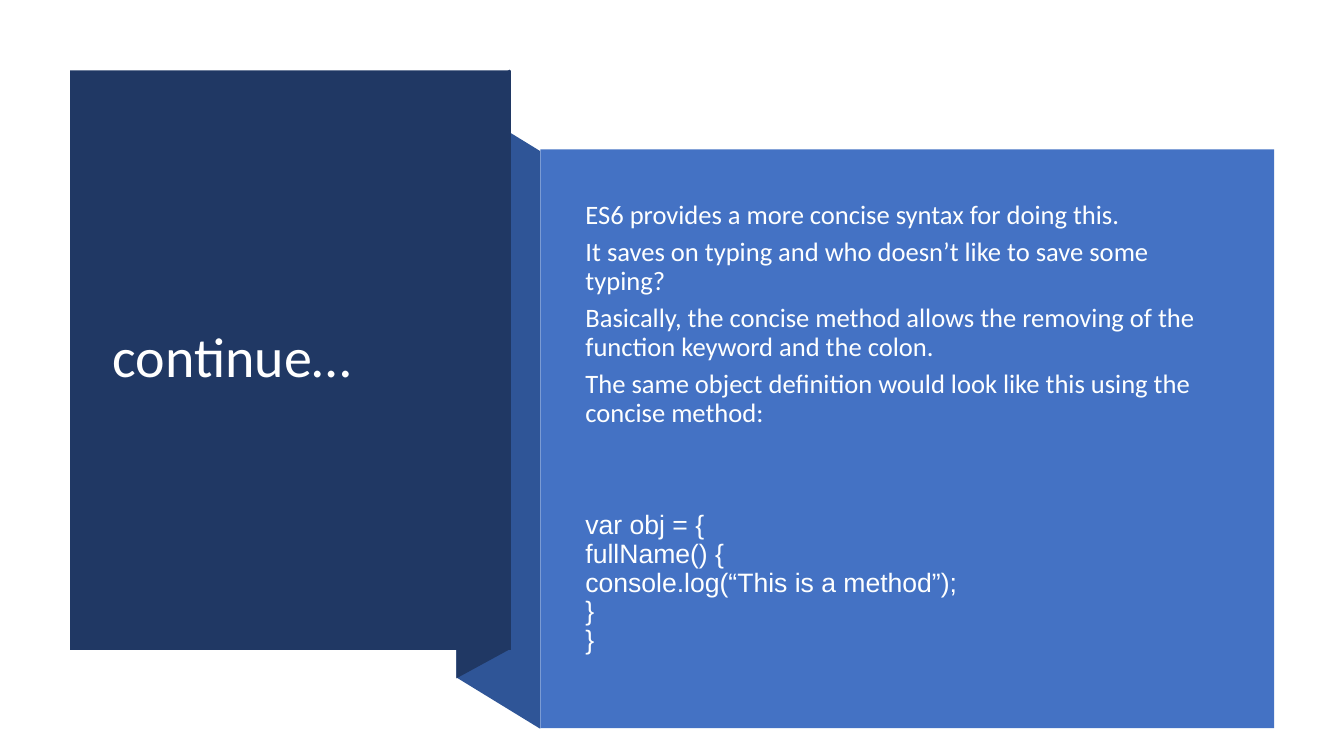
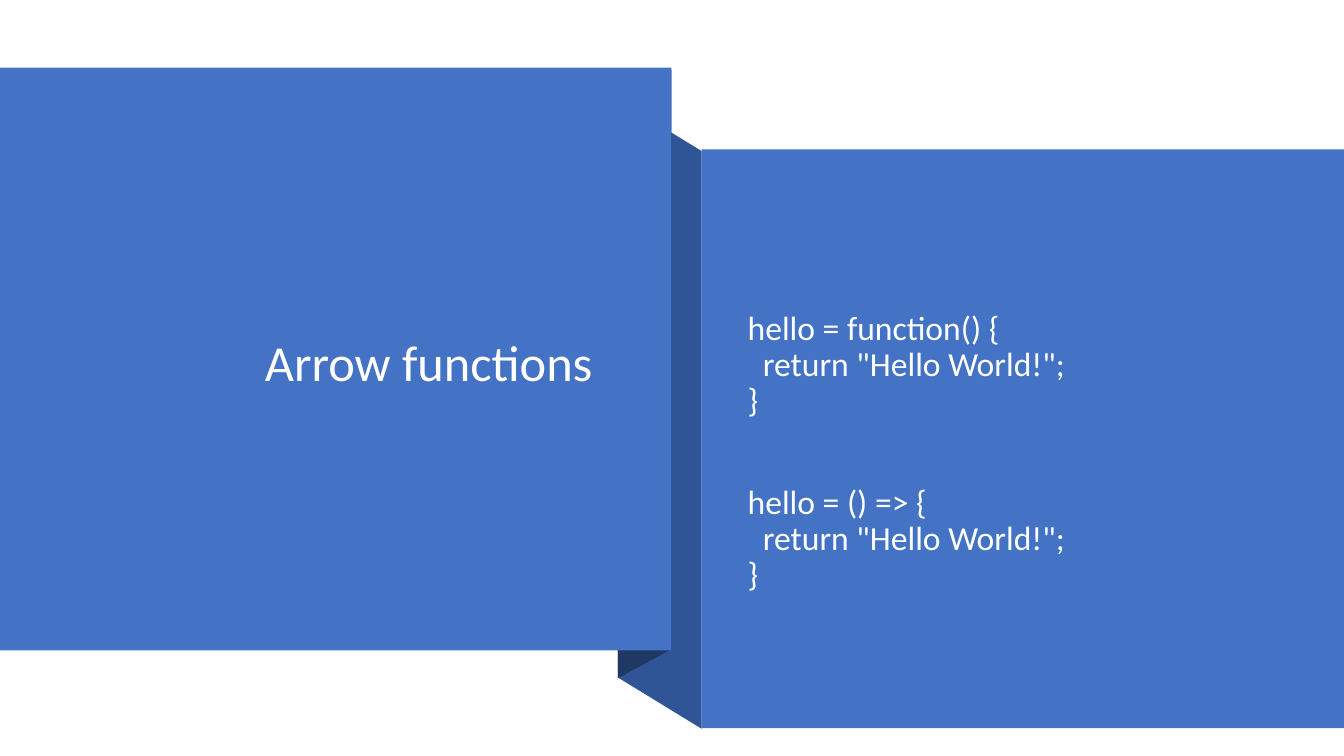
from pptx import Presentation
from pptx.dml.color import RGBColor
from pptx.enum.shapes import MSO_SHAPE as Preset
from pptx.enum.text import MSO_ANCHOR as Anchor, PP_ALIGN as Align
from pptx.util import Pt

# Shared style
NAVY = RGBColor(0x20, 0x38, 0x64)
DEEP_BLUE = RGBColor(0x2F, 0x55, 0x97)
BLUE = RGBColor(0x44, 0x72, 0xC4)
WHITE = RGBColor(0xFF, 0xFF, 0xFF)
SOFT_WHITE = RGBColor(0xFE, 0xFF, 0xFF)
PAGE_WIDTH, PAGE_HEIGHT = 960, 540
BODY_TOP, BODY_HEIGHT = 106.7, 413.5
FOLD_WIDTH, FLAP_WIDTH = 59.8, 38.2
CODE_INDENT = 10.85


def paint(shape, colour):
    shape.shadow.inherit = False
    shape.fill.solid()
    shape.fill.fore_color.rgb = colour
    shape.line.fill.background()


def add_panel(page, box, colour):
    panel = page.shapes.add_shape(Preset.RECTANGLE, *map(Pt, box))
    paint(panel, colour)


def add_outline(page, points, colour):
    corners = [(Pt(x), Pt(y)) for x, y in points]
    builder = page.shapes.build_freeform(*corners[0], scale=1.0)
    builder.add_line_segments(corners[1:], close=True)
    paint(builder.convert_to_shape(), colour)


def add_text(page, box, lines, size, colour):
    """Each line is (text, paragraph formats, font name, indent)."""
    frame = page.shapes.add_textbox(*map(Pt, box)).text_frame
    frame.word_wrap = True
    frame.vertical_anchor = Anchor.MIDDLE
    for number, (text, formats, font, indent) in enumerate(lines):
        para = frame.add_paragraph() if number else frame.paragraphs[0]
        for name, value in {"line_spacing": 0.9, **formats}.items():
            setattr(para, name, value)
        if indent:
            para._p.get_or_add_pPr().set("marL", str(Pt(indent)))
        span = para.add_run()
        span.text = text
        span.font.color.rgb = colour
        for name, value in {"name": font, "size": Pt(size)}.items():
            setattr(span.font, name, value)


def add_ribbon(page, title_box, title_colour, body_left, body_width):
    """Title panel folding behind itself into the body panel."""
    left = body_left - FOLD_WIDTH
    flap_right = left + FLAP_WIDTH
    add_outline(page, [(body_left, 520.6), (left, 484),
                       (left, 71.3), (body_left, 108)], DEEP_BLUE)
    add_outline(page, [(flap_right, 463.7), (left, 484.5),
                       (left, 70.6), (flap_right, 49.7)], NAVY)
    add_panel(page, title_box, title_colour)
    add_panel(page, (body_left, BODY_TOP, body_width, BODY_HEIGHT), BLUE)


def add_title(page, box, text, size, align):
    add_text(page, box, [(text, {"alignment": align}, "Calibri", 0)], size, WHITE)


def concise_method_page(page):
    add_ribbon(page, (50, 50.2, 315, 414), NAVY, 385.9, 524.2)
    add_title(page, (73.4, 77, 267, 359.3), "continue…", 40, Align.LEFT)
    sentences = [
        "ES6 provides a more concise syntax for doing this.",
        "It saves on typing and who doesn’t like to save some typing?",
        "Basically, the concise method allows the removing of the function"
        " keyword and the colon.",
        "The same object definition would look like this using the"
        " concise method:",
    ]
    code = ["var obj = {", "fullName() {",
            "console.log(“This is a method”);", "}", "}"]
    lines = [(text, {"space_after": Pt(6)}, "Calibri", 0) for text in sentences]
    for number, text in enumerate(code):
        formats = {"space_before": Pt(0 if number else 53.7),
                   "space_after": Pt(6 if number == len(code) - 1 else 0)}
        lines.append((text, formats, "Arial", 0))
    add_text(page, (411.1, 135.4, 468.7, 341.3), lines, 19, SOFT_WHITE)


def arrow_function_page(page):
    add_ribbon(page, (0, 48.4, 479.6, 416.2), BLUE, 501.2, PAGE_WIDTH - 501.2)
    add_title(page, (68.4, 95, 362, 331.2), "Arrow functions", 36, Align.RIGHT)
    lines = []
    for opening in ("hello = function() {", "hello = () => {"):
        gap = Pt(46.4 if lines else 0)
        lines += [(opening, {"space_before": gap}, "Calibri", 0),
                  ('return "Hello World!";', {}, "Calibri", CODE_INDENT),
                  ("}", {}, "Calibri", 0)]
    add_text(page, (527, 170, 370, 306.6), lines, 24, SOFT_WHITE)


deck = Presentation()
deck.slide_width, deck.slide_height = Pt(PAGE_WIDTH), Pt(PAGE_HEIGHT)
for build_page in (concise_method_page, arrow_function_page):
    build_page(deck.slides.add_slide(deck.slide_layouts[6]))
deck.save("out.pptx")
